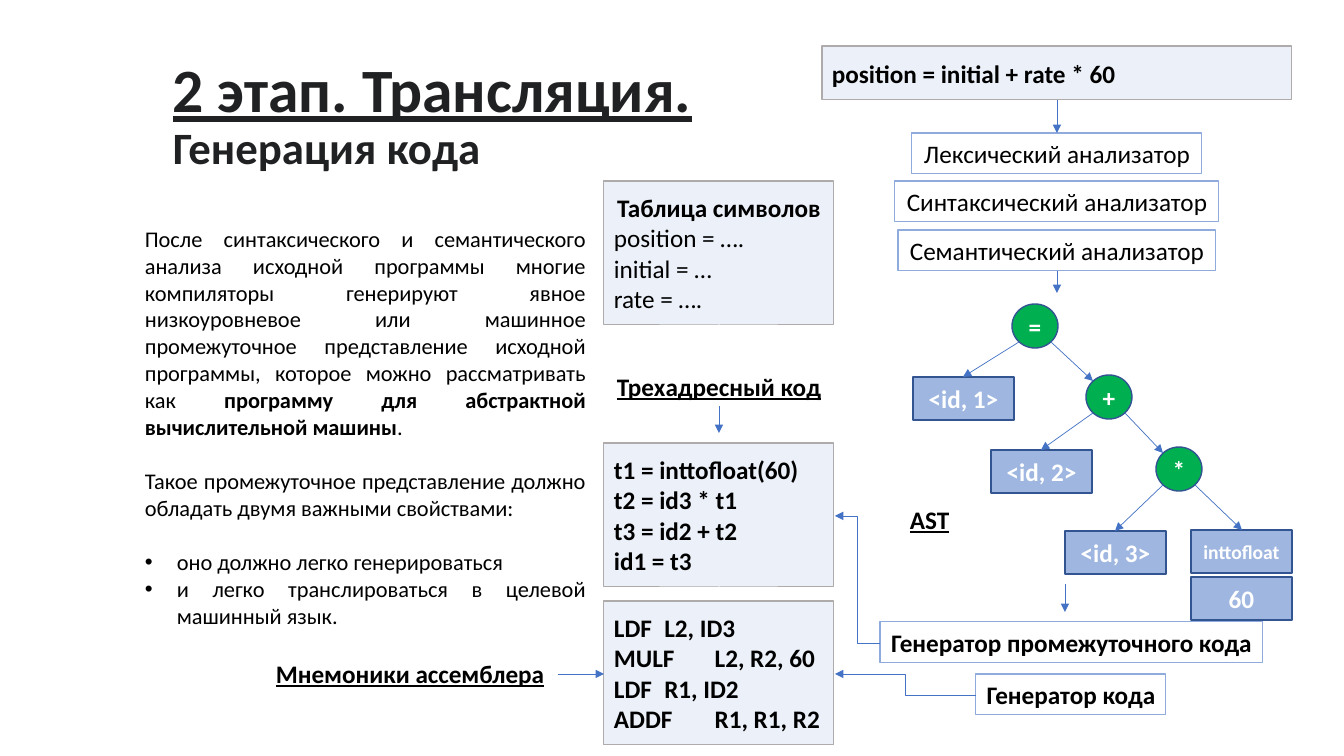
import pptx
import pptx.dml.color
import pptx.enum.dml
import pptx.enum.shapes
import pptx.enum.text
import pptx.oxml
import pptx.oxml.ns
import pptx.util
from lxml import etree

RGBColor = pptx.dml.color.RGBColor
INK = RGBColor(0x20, 0x21, 0x22)
BLACK = RGBColor(0, 0, 0)
WHITE = RGBColor(0xFF, 0xFF, 0xFF)
PALE = RGBColor(0xDA, 0xE3, 0xF3)
GREY = RGBColor(0xAF, 0xAB, 0xAB)
SKY = RGBColor(0x8F, 0xAA, 0xDC)
BLUE = RGBColor(0x44, 0x72, 0xC4)
NAVY = RGBColor(0x32, 0x54, 0x91)
GREEN = RGBColor(0x00, 0xB0, 0x50)

SHAPE = pptx.enum.shapes.MSO_SHAPE
CONN = pptx.enum.shapes.MSO_CONNECTOR
ANCHOR = pptx.enum.text.MSO_ANCHOR
ALIGN = pptx.enum.text.PP_ALIGN
AUTO = pptx.enum.text.MSO_AUTO_SIZE
Pt = pptx.util.Pt
SCALE = 914400 / 100.8

BOLD = {"bold": True}
TITLE = {"bold": True, "underline": True}


def px(n):
    """Turn pixels into EMU."""
    return pptx.util.Emu(round(n * SCALE))


def sub(parent, tag, **attrs):
    """Append a child element with attributes."""
    el = etree.SubElement(parent, pptx.oxml.ns.qn(tag))
    for key, value in attrs.items():
        el.set(key, value)
    return el


class Deck:
    """Style and current slide, with one method per kind of element."""

    font = "Calibri"

    def __init__(self, width, height):
        """Open a presentation with one blank slide."""
        self.prs = pptx.Presentation()
        self.prs.slide_width, self.prs.slide_height = px(width), px(height)
        self.s = self.prs.slides.add_slide(self.prs.slide_layouts[6])

    def para(self, tf, runs, size=18, color=BLACK, first=False, **fmt):
        """Write (text, format) runs as one paragraph; a newline breaks the line."""
        p = tf.paragraphs[0] if first else tf.add_paragraph()
        for key, value in {"alignment": ALIGN.LEFT, **fmt}.items():
            setattr(p, key, value)
        for text, font in runs:
            if text == "\n":
                p.add_line_break()
                continue
            r = p.add_run()
            r.text = text
            r.font.color.rgb = color
            for key, value in {"name": self.font, "size": Pt(size), **font}.items():
                setattr(r.font, key, value)
        return p

    def bullet(self, p, indent):
        """Give a paragraph a hanging bullet."""
        ppr = p._p.get_or_add_pPr()
        ppr.set("marL", str(px(indent)))
        ppr.set("indent", str(-px(indent)))
        sub(ppr, "a:buFont", typeface="Arial")
        sub(ppr, "a:buChar", char="•")

    def text(self, box, anchor=ANCHOR.TOP, wrap=True):
        """Add an empty text box and return its frame."""
        tf = self.s.shapes.add_textbox(*map(px, box)).text_frame
        tf.word_wrap, tf.vertical_anchor = wrap, anchor
        return tf

    def shape(self, box, fill=None, line=SKY, width=0.75, alpha=None, kind=SHAPE.RECTANGLE):
        """Add a preset shape and return its text frame."""
        sp = self.s.shapes.add_shape(kind, *map(px, box))
        sp.shadow.inherit = False
        sp.line.color.rgb, sp.line.width = line, Pt(width)
        if fill is None:
            sp.fill.background()
        else:
            sp.fill.solid()
            sp.fill.fore_color.rgb = fill
        if alpha:
            clr = sp._element.spPr.find(".//" + pptx.oxml.ns.qn("a:srgbClr"))
            sub(clr, "a:alpha", val=str(alpha * 1000))
        tf = sp.text_frame
        tf.word_wrap, tf.vertical_anchor = True, ANCHOR.MIDDLE
        return tf

    def panel(self, box, lines):
        """Add a pale code panel from (text, font, paragraph format) lines."""
        tf = self.shape(box, PALE, GREY, alpha=50)
        for i, (text, font, fmt) in enumerate(lines):
            self.para(tf, [(text, font)], first=i == 0, **fmt)

    def stage(self, box, text, font):
        """Add an outlined compiler stage."""
        tf = self.shape(box)
        tf.word_wrap, tf.vertical_anchor, tf.auto_size = False, ANCHOR.TOP, AUTO.SHAPE_TO_FIT_TEXT
        self.para(tf, [(text, font)], first=True, alignment=ALIGN.CENTER)

    def node(self, box, text, fill, size=18, **fmt):
        """Add a tree node with white bold text."""
        tf = self.shape(box, fill, NAVY, 1, **fmt)
        self.para(tf, [(text, BOLD)], size, WHITE, first=True, alignment=ALIGN.CENTER)

    def arrow(self, x1, y1, x2, y2, kind=CONN.STRAIGHT):
        """Add a thin connector with an arrowhead at its end."""
        c = self.s.shapes.add_connector(kind, *map(px, (x1, y1, x2, y2)))
        c.line.color.rgb, c.line.width = BLUE, Pt(0.5)
        sub(c.line._get_or_add_ln(), "a:tailEnd", type="triangle")
        sub(c._element.spPr, "a:effectLst")


d = Deck(1344, 756)

tf = d.text((163, 44, 632, 146), ANCHOR.MIDDLE)
d.para(tf, [("2 этап. Трансляция.", {**TITLE, "size": Pt(44)}), ("\n", {}),
            ("Генерация кода", BOLD)], 32, INK, first=True, line_spacing=0.9)

# Explanation on the left
tf = d.text((135, 220, 461, 417))
justify = {"size": 16, "alignment": ALIGN.JUSTIFY}
gap = {"space_before": Pt(19.5)}
d.para(tf, [("После синтаксического и семантического анализа исходной программы многие "
             "компиляторы генерируют явное низкоуровневое или машинное промежуточное "
             "представление исходной программы, которое можно рассматривать как ", {}),
            ("программу для абстрактной вычислительной машины", BOLD), (".", {})],
       first=True, **justify)
d.para(tf, [("Такое промежуточное представление должно обладать двумя важными "
             "свойствами:", {})], **justify, **gap)
for text, fmt in (("оно должно легко генерироваться", gap),
                  ("и легко транслироваться в целевой машинный язык.", {})):
    d.bullet(d.para(tf, [(text, {})], **justify, **fmt), 32)

# Source line and code panels
d.panel((822, 46, 470, 54), [("position = initial + rate * 60", BOLD, {})])
symbols = [("Таблица символов", BOLD, {"alignment": ALIGN.CENTER})]
symbols += [(t, {}, {}) for t in ("position = ….", "initial = …", "rate = ….")]
three_address = [(t, BOLD, {}) for t in
                 ("t1 = inttofloat(60)", "t2 = id3 * t1", "t3 = id2 + t2", "id1 = t3")]
assembler = [(t, BOLD, {}) for t in
             ("LDF\tL2, ID3", "MULF\tL2, R2, 60", "LDF\tR1, ID2", "ADDF\tR1, R1, R2")]
for y, lines in ((181, symbols), (443, three_address), (601, assembler)):
    d.panel((604, y, 230, 144), lines)

# Compiler stages
for x, y, w, text, font in (
        (912, 133, 290, "Лексический анализатор", {}),
        (895, 181, 324, "Синтаксический анализатор", {}),
        (898, 230, 318, "Семантический анализатор", {}),
        (880, 622, 383, "Генератор промежуточного кода", BOLD),
        (976, 674, 190, "Генератор кода", BOLD)):
    d.stage((x, y, w, 41), text, font)

# Syntax tree: each operator points to its left leaf and to the next node
operators = [(1012, 304, "="), (1086, 375, "+"), (1156, 447, "*")]
leaves = [(913, 377, "<id, 1>", 18), (991, 450, "<id, 2>", 18), (1065, 531, "<id, 3>", 18),
          (1191, 530, "inttofloat", 14), (1191, 577, "60", 18)]
for x, y, text in operators:
    d.node((x, y, 46, 44), text, GREEN, kind=SHAPE.OVAL)
for x, y, text, size in leaves:
    d.node((x, y, 101, 43), text, BLUE, size, alpha=51)
right_ends = [(x + 7, y + 6) for x, y, _ in operators[1:]] + [(1242, 530)]
for (x, y, _), leaf, right in zip(operators, leaves, right_ends):
    d.arrow(x + 7, y + 38, leaf[0] + 50, leaf[1])
    d.arrow(x + 39, y + 38, *right)

# Underlined captions
for box, text, wrap in (((900, 499, 60, 41), "AST", False),
                        ((607, 366, 225, 41), "Трехадресный код", True),
                        ((266, 653, 292, 41), "Мнемоники ассемблера", True)):
    d.para(d.text(box, wrap=wrap), [(text, TITLE)], first=True)

# Flow arrows
for ends in ((1057, 100, 1057, 133), (1057, 271, 1057, 293), (1065, 584, 1065, 612),
             (558, 674, 604, 674), (719, 406, 719, 433)):
    d.arrow(*ends)
for ends in ((880, 643, 835, 516), (976, 695, 835, 674)):
    d.arrow(*ends, kind=CONN.ELBOW)

d.prs.save("out.pptx")
